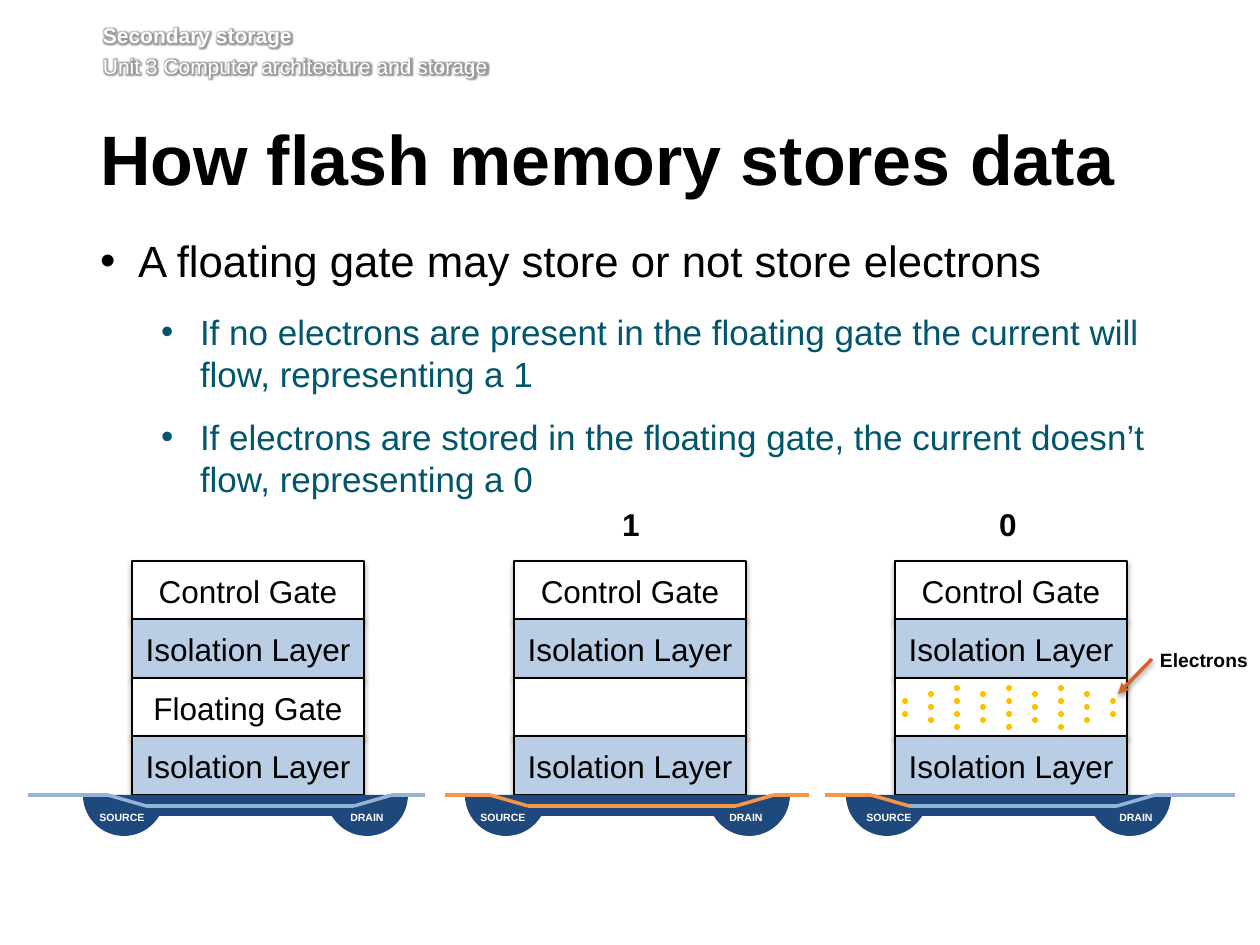
"""Build a slide on how flash memory cells store a 1 or a 0."""
import math
from dataclasses import dataclass

from lxml import etree
from pptx import Presentation, util as u
from pptx.dml.color import RGBColor
from pptx.enum import shapes, text
from pptx.oxml import ns

PX = 914400 / 126
FONT = "Arial"
COLORS = {
    "white": "FFFFFF", "black": "000000", "teal": "00566A", "layer": "B9CDE5",
    "silicon": "1F497D", "idle": "95B3D7", "current": "F79646",
    "electron": "FFC000", "arrow": "CF6529",
}
CELL_W, ROW_H = 232, 59
ROW_TOPS = (561, 619, 678, 736)
SURFACE, CHANNEL = 795, 806
WELL_R, SOURCE_X, DRAIN_X, BRIDGE = 41, -8, 235, 21
ELECTRON_COUNTS = (2, 3, 4, 3, 4, 3, 4, 3, 2)


@dataclass(frozen=True)
class Style:
    size: float
    color: str = "black"
    bold: bool = False


@dataclass(frozen=True)
class Bullet:
    words: str
    style: Style
    level: int
    margin: int
    hang: int
    after: int


@dataclass(frozen=True)
class Cell:
    left: int
    floating_gate: str
    wire_start: int
    wire_end: int
    source_label: int
    drain_label: int
    wire_colors: tuple[str, ...]


BULLETS = (
    Bullet("A floating gate may store or not store electrons", Style(25), 0, 38, 38, 14),
    Bullet("If no electrons are present in the floating gate the current will flow, "
           "representing a 1", Style(20, "teal"), 1, 100, 39, 12),
    Bullet("If electrons are stored in the floating gate, the current doesn’t flow, "
           "representing a 0", Style(20, "teal"), 1, 100, 39, 12),
)
CELLS = (
    Cell(132, "Floating Gate", 28, 425, 89, 334, ("idle",) * 5),
    Cell(514, "", 445, 809, 470, 713, ("current",) * 5),
    Cell(895, "", 825, 1235, 856, 1103, ("current",) * 2 + ("idle",) * 3),
)


def px(value: float) -> int:
    """Turn px into EMU."""
    return u.Emu(round(value * PX))


def rgb(name: str) -> RGBColor:
    """Look up a named colour."""
    return RGBColor.from_string(COLORS[name])


def add_run(paragraph, words: str, style: Style):
    """Append one styled run."""
    run = paragraph.add_run()
    run.text = words
    run.font.name = FONT
    run.font.size = u.Pt(style.size)
    run.font.bold = style.bold
    run.font.color.rgb = rgb(style.color)
    return run


def add_box(slide, left: int, top: int, width: int, height: int,
            insets: tuple[int, int, int, int] = (0, 0, 0, 0)):
    """Add a wrapping text box and return its text frame."""
    frame = slide.shapes.add_textbox(px(left), px(top), px(width), px(height)).text_frame
    frame.word_wrap = True
    frame.margin_left, frame.margin_top, frame.margin_right, frame.margin_bottom = map(px, insets)
    return frame


def add_label(slide, left: int, top: int, width: int, height: int, words: str, style: Style,
              centred: bool = False) -> None:
    """Add a short one-line label."""
    frame = add_box(slide, left, top, width, height)
    paragraph = frame.paragraphs[0]
    if centred:
        paragraph.alignment = text.PP_ALIGN.CENTER
    add_run(paragraph, words, style)


def add_effect(parent, kind: str, alpha: int, **attributes: int) -> None:
    """Put a black effect into an effect list."""
    effects = parent.find(ns.qn("a:effectLst"))
    if effects is None:
        effects = etree.SubElement(parent, ns.qn("a:effectLst"))
    effect = etree.SubElement(effects, ns.qn(f"a:{kind}"),
                              {key: str(value) for key, value in attributes.items()})
    color = etree.SubElement(effect, ns.qn("a:srgbClr"), val=COLORS["black"])
    etree.SubElement(color, ns.qn("a:alpha"), val=str(alpha * 1000))


def add_shadow(shape, alpha: int, distance: int) -> None:
    """Cast a soft shadow straight down."""
    add_effect(shape._element.spPr, "outerShdw", alpha, blurRad=40000, dist=distance,
               dir=5400000, rotWithShape=0)


def add_wire(slide, start: tuple[int, int], end: tuple[int, int], color: str):
    """Draw a straight two-point line."""
    wire = slide.shapes.add_connector(shapes.MSO_CONNECTOR.STRAIGHT, *map(px, start + end))
    wire.line.color.rgb = rgb(color)
    wire.line.width = u.Pt(2)
    etree.SubElement(wire._element.spPr, ns.qn("a:effectLst"))
    return wire


def add_layer(slide, left: int, top: int, words: str, fill: str) -> None:
    """Draw one layer of a memory cell."""
    layer = slide.shapes.add_shape(shapes.MSO_SHAPE.RECTANGLE, px(left), px(top),
                                   px(CELL_W), px(ROW_H))
    layer.shadow.inherit = False
    layer.fill.solid()
    layer.fill.fore_color.rgb = rgb(fill)
    layer.line.color.rgb = rgb("black")
    layer.line.width = u.Pt(0.75)
    add_shadow(layer, 35, 23000)
    frame = layer.text_frame
    frame.vertical_anchor = text.MSO_ANCHOR.MIDDLE
    if words:
        frame.paragraphs[0].alignment = text.PP_ALIGN.CENTER
        add_run(frame.paragraphs[0], words, Style(18))


def add_silicon(slide, left: int) -> None:
    """Draw the source and drain wells with the bridge between them."""
    inner = math.degrees(math.asin(BRIDGE / WELL_R))
    arcs = ((DRAIN_X, 0, 180 - inner), (SOURCE_X, inner, 180))
    outline = []
    for centre, first, last in arcs:
        for step in range(25):
            angle = math.radians(first + (last - first) * step / 24)
            outline.append((px(left + centre + WELL_R * math.cos(angle)),
                            px(SURFACE + WELL_R * math.sin(angle))))
    builder = slide.shapes.build_freeform(*outline[0])
    builder.add_line_segments(outline[1:], close=True)
    silicon = builder.convert_to_shape()
    silicon.shadow.inherit = False
    silicon.fill.solid()
    silicon.fill.fore_color.rgb = rgb("silicon")
    silicon.line.fill.background()


def add_cell(slide, cell: Cell) -> None:
    """Draw a memory cell with its layers, wells and current path."""
    names = ("Control Gate", "Isolation Layer", cell.floating_gate, "Isolation Layer")
    for row, (top, name) in enumerate(zip(ROW_TOPS, names)):
        add_layer(slide, cell.left, top, name, "layer" if row % 2 else "white")
    add_silicon(slide, cell.left)
    for left, name in ((cell.source_label, "SOURCE"), (cell.drain_label, "DRAIN")):
        add_label(slide, left, 811, 66, 13, name, Style(6, "white", True), centred=True)
    bends = [(cell.left + x, y) for x, y in
             ((-24, SURFACE), (14, CHANNEL), (222, CHANNEL), (260, SURFACE))]
    route = [(cell.wire_start, SURFACE), *bends, (cell.wire_end, SURFACE)]
    for start, end, color in zip(route, route[1:], cell.wire_colors):
        add_wire(slide, start, end, color)


def add_electrons(slide) -> None:
    """Fill the last floating gate with electrons and point at them."""
    for column, count in enumerate(ELECTRON_COUNTS):
        top = 704 - 13 * (count - 1) // 2
        for row in range(count):
            electron = slide.shapes.add_shape(shapes.MSO_SHAPE.OVAL, px(902 + 26 * column),
                                              px(top + 13 * row), px(6), px(6))
            electron.shadow.inherit = False
            electron.fill.solid()
            electron.fill.fore_color.rgb = rgb("electron")
            electron.line.fill.background()
    add_label(slide, 1160, 648, 100, 24, "Electrons", Style(11, bold=True))
    pointer = add_wire(slide, (1152, 659), (1118, 694), "arrow")
    etree.SubElement(pointer.line._get_or_add_ln(), ns.qn("a:tailEnd"), type="triangle")
    add_shadow(pointer, 38, 20000)


def add_texts(slide) -> None:
    """Write the running header, the title and the bullets."""
    header = add_box(slide, 103, 23, 1111, 60, (0, 0, 0, 6))
    unit = header.add_paragraph()
    unit.space_before = u.Pt(2.9)
    for paragraph, words, bold in (
            (header.paragraphs[0], "Secondary storage", True),
            (unit, "Unit 3 Computer architecture and storage", False)):
        run = add_run(paragraph, words, Style(12, "white", bold))
        effects = etree.Element(ns.qn("a:effectLst"))
        run.font._element.find(ns.qn("a:solidFill")).addnext(effects)
        add_effect(run.font._element, "glow", 40, rad=63500)

    title = add_box(slide, 100, 125, 1077, 92, (0, 6, 13, 6)).paragraphs[0]
    title.line_spacing = u.Pt(39)
    add_run(title, "How flash memory stores data", Style(40, bold=True))

    body = add_box(slide, 100, 234, 1075, 476, (0, 0, 13, 6))
    for index, bullet in enumerate(BULLETS):
        paragraph = body.add_paragraph() if index else body.paragraphs[0]
        paragraph.level = bullet.level
        properties = paragraph._p.get_or_add_pPr()
        properties.set("marL", str(px(bullet.margin)))
        properties.set("indent", str(-px(bullet.hang)))
        etree.SubElement(properties, ns.qn("a:buFont"), typeface=FONT)
        etree.SubElement(properties, ns.qn("a:buChar"), char="•")
        paragraph.space_after = u.Pt(bullet.after)
        add_run(paragraph, bullet.words, bullet.style)


def main() -> None:
    """Assemble and save the slide."""
    deck = Presentation()
    deck.slide_width, deck.slide_height = px(1260), px(945)
    slide = deck.slides.add_slide(deck.slide_layouts[6])
    add_texts(slide)
    for cell in CELLS:
        add_cell(slide, cell)
    add_electrons(slide)
    for left, bit in ((622, "1"), (999, "0")):
        add_label(slide, left, 505, 32, 38, bit, Style(18, bold=True))
    deck.save("out.pptx")


if __name__ == "__main__":
    main()
